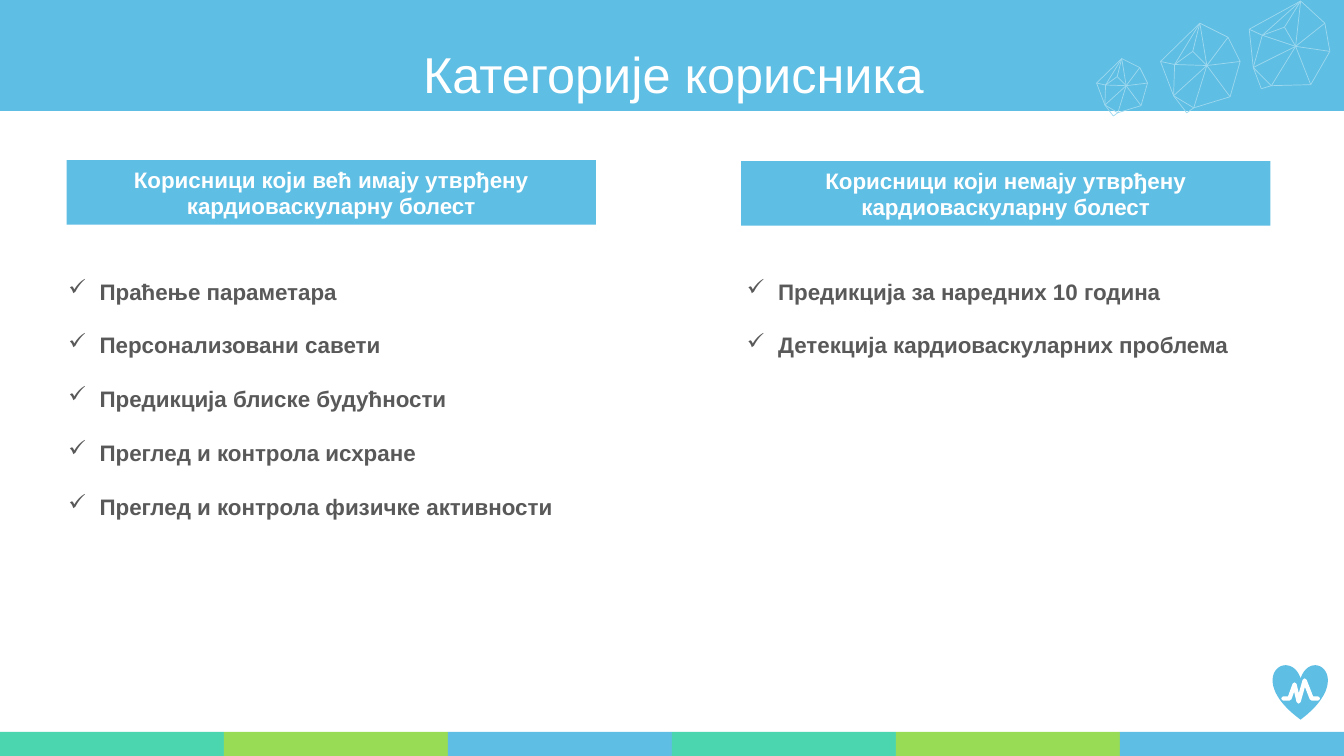
from lxml.etree import SubElement
from pptx import Presentation
from pptx.dml.color import RGBColor
from pptx.enum.shapes import MSO_CONNECTOR, MSO_SHAPE
from pptx.enum.text import MSO_ANCHOR, MSO_AUTO_SIZE, PP_ALIGN
from pptx.oxml.ns import qn
from pptx.util import Inches, Pt

COLOURS = {
    "blue": "5EBEE4",
    "mint": "4CD6B0",
    "lime": "98DC56",
    "pale": "9ED8EF",
    "white": "FFFFFF",
    "grey": "595959",
}

GEM_EDGES = ("ac bc ba tr ct at sc bs qc ce ai ti sq qe cr re ic sf oa bo ot bf").split()
LARGE_GEM = {
    "a": (12.52, 0.35), "b": (12.43, 0.67), "c": (12.85, 0.46), "t": (12.9, 0.01),
    "r": (13.14, 0.23), "s": (12.61, 0.85), "q": (13, 0.84), "e": (13.19, 0.51),
    "i": (12.74, 0.27), "f": (12.51, 0.88), "o": (12.39, 0.29),
}
MEDIUM_GEM = {
    "a": (11.65, 0.64), "b": (11.64, 0.95), "c": (11.97, 0.65), "t": (11.9, 0.23),
    "r": (12.18, 0.37), "s": (11.84, 1.07), "q": (12.2, 0.96), "e": (12.3, 0.61),
    "i": (11.83, 0.51), "f": (11.77, 1.12), "o": (11.51, 0.61),
}

HEART_CURVES = [
    ((12.75, 6.6), (12.81, 6.6), (12.87, 6.64), (12.9, 6.73)),
    ((12.9, 6.73), (13.01, 6.41), (13.45, 6.73), (12.9, 7.14)),
    ((12.9, 7.14), (12.5, 6.85), (12.61, 6.6), (12.75, 6.6)),
]
PULSE = [(12.73, 6.93), (12.79, 6.93), (12.84, 6.79), (12.88, 6.96),
         (12.94, 6.75), (13.01, 6.93), (13.07, 6.93)]

EXISTING_DISEASE = [
    "Праћење параметара",
    "Персонализовани савети",
    "Предикција блиске будућности",
    "Преглед и контрола исхране",
    "Преглед и контрола физичке активности",
]
NO_DISEASE = [
    "Предикција за наредних 10 година",
    "Детекција кардиоваскуларних проблема",
]


def scaled_gem(gem, centre, scale):
    """Return the gem resized around its hub and moved to a new centre."""
    hub = gem["c"]
    return {
        name: tuple(centre[axis] + scale * (point[axis] - hub[axis]) for axis in (0, 1))
        for name, point in gem.items()
    }


def curve_points(curves, steps=24):
    """Return points along a chain of cubic curves."""
    points = [curves[0][0]]
    for curve in curves:
        for step in range(1, steps + 1):
            t = step / steps
            weights = ((1 - t) ** 3, 3 * t * (1 - t) ** 2, 3 * t * t * (1 - t), t ** 3)
            points.append(tuple(
                sum(weight * point[axis] for weight, point in zip(weights, curve))
                for axis in (0, 1)
            ))
    return points


class SlideBuilder:
    """Holds the style and the current slide."""

    font_name = "Arial"

    def __init__(self, slide):
        """Keep the slide to draw on."""
        self.slide = slide

    def colour(self, name):
        """Return a named colour."""
        return RGBColor.from_string(COLOURS[name])

    def add_run(self, paragraph, text, size, colour, bold=False):
        """Add one styled run."""
        run = paragraph.add_run()
        run.text = text
        run.font.name = self.font_name
        run.font.size = Pt(size)
        run.font.bold = bold
        run.font.color.rgb = self.colour(colour)

    def title(self, text, left, top, width, height):
        """Place the title placeholder in front of the band."""
        shape = self.slide.shapes.title
        shape.left, shape.top = Inches(left), Inches(top)
        shape.width, shape.height = Inches(width), Inches(height)
        frame = shape.text_frame
        frame.auto_size = MSO_AUTO_SIZE.NONE
        frame.vertical_anchor = MSO_ANCHOR.MIDDLE
        paragraph = frame.paragraphs[0]
        paragraph.alignment = PP_ALIGN.CENTER
        paragraph.line_spacing = 0.9
        paragraph.space_before = Pt(10)
        self.add_run(paragraph, text, 36, "white")
        self.slide.shapes.element.append(shape.element)

    def rectangle(self, left, top, width, height, fill):
        """Add a plain filled rectangle."""
        shape = self.slide.shapes.add_shape(
            MSO_SHAPE.RECTANGLE, Inches(left), Inches(top), Inches(width), Inches(height))
        shape.shadow.inherit = False
        shape.fill.solid()
        shape.fill.fore_color.rgb = self.colour(fill)
        shape.line.fill.background()
        return shape

    def heading(self, text, left, top):
        """Add a column heading."""
        frame = self.rectangle(left, top, 5.25, 0.64, "blue").text_frame
        frame.word_wrap = True
        frame.vertical_anchor = MSO_ANCHOR.MIDDLE
        paragraph = frame.paragraphs[0]
        paragraph.alignment = PP_ALIGN.CENTER
        self.add_run(paragraph, text, 16, "white", bold=True)

    def checklist(self, items, left, top, width, height):
        """Add a list with check mark bullets."""
        frame = self.slide.shapes.add_textbox(
            Inches(left), Inches(top), Inches(width), Inches(height)).text_frame
        frame.word_wrap = True
        for index, item in enumerate(items):
            paragraph = frame.add_paragraph() if index else frame.paragraphs[0]
            paragraph.line_spacing = 2.0
            properties = paragraph._p.get_or_add_pPr()
            properties.set("marL", str(Inches(0.31)))
            properties.set("indent", str(-Inches(0.31)))
            SubElement(properties, qn("a:buChar")).set("char", "✓")
            self.add_run(paragraph, item, 16, "grey", bold=True)

    def gem(self, points):
        """Draw the edges of a wireframe gem."""
        for start, end in GEM_EDGES:
            ends = [Inches(value) for value in (*points[start], *points[end])]
            connector = self.slide.shapes.add_connector(MSO_CONNECTOR.STRAIGHT, *ends)
            connector.line.color.rgb = self.colour("pale")
            connector.line.width = Pt(0.5)
            SubElement(connector.element.spPr, qn("a:effectLst"))

    def outline(self, points, close):
        """Add a freeform through the points."""
        corners = [(Inches(x), Inches(y)) for x, y in points]
        builder = self.slide.shapes.build_freeform(*corners[0])
        builder.add_line_segments(corners[1:], close=close)
        shape = builder.convert_to_shape()
        shape.shadow.inherit = False
        return shape

    def heart(self):
        """Add the heart with its pulse line."""
        heart = self.outline(curve_points(HEART_CURVES), close=True)
        heart.fill.solid()
        heart.fill.fore_color.rgb = self.colour("blue")
        heart.line.fill.background()
        pulse = self.outline(PULSE, close=False)
        pulse.fill.background()
        pulse.line.color.rgb = self.colour("white")
        pulse.line.width = Pt(3)
        pulse.element.spPr.find(qn("a:ln")).set("cap", "rnd")


def main():
    """Build and save the slide."""
    presentation = Presentation()
    presentation.slide_width = Inches(13.33)
    presentation.slide_height = Inches(7.5)
    builder = SlideBuilder(presentation.slides.add_slide(presentation.slide_layouts[5]))

    stripe_width = 13.33 / 6
    for index, fill in enumerate(["mint", "lime", "blue"] * 2):
        builder.rectangle(index * stripe_width, 7.26, stripe_width, 0.24, fill)
    builder.rectangle(0, 0, 13.33, 1.1, "blue")
    for gem in (LARGE_GEM, MEDIUM_GEM, scaled_gem(MEDIUM_GEM, (11.17, 0.85), 0.64)):
        builder.gem(gem)
    builder.heart()

    builder.title("Категорије корисника", 0.35, 0.37, 12.66, 0.79)
    builder.heading("Корисници који већ имају утврђену кардиоваскуларну болест", 0.66, 1.59)
    builder.checklist(EXISTING_DISEASE, 0.58, 2.44, 5.7, 2.79)
    builder.checklist(NO_DISEASE, 7.31, 2.44, 5.17, 1.09)
    builder.heading("Корисници који немају утврђену кардиоваскуларну болест", 7.35, 1.6)
    presentation.save("out.pptx")


if __name__ == "__main__":
    main()
